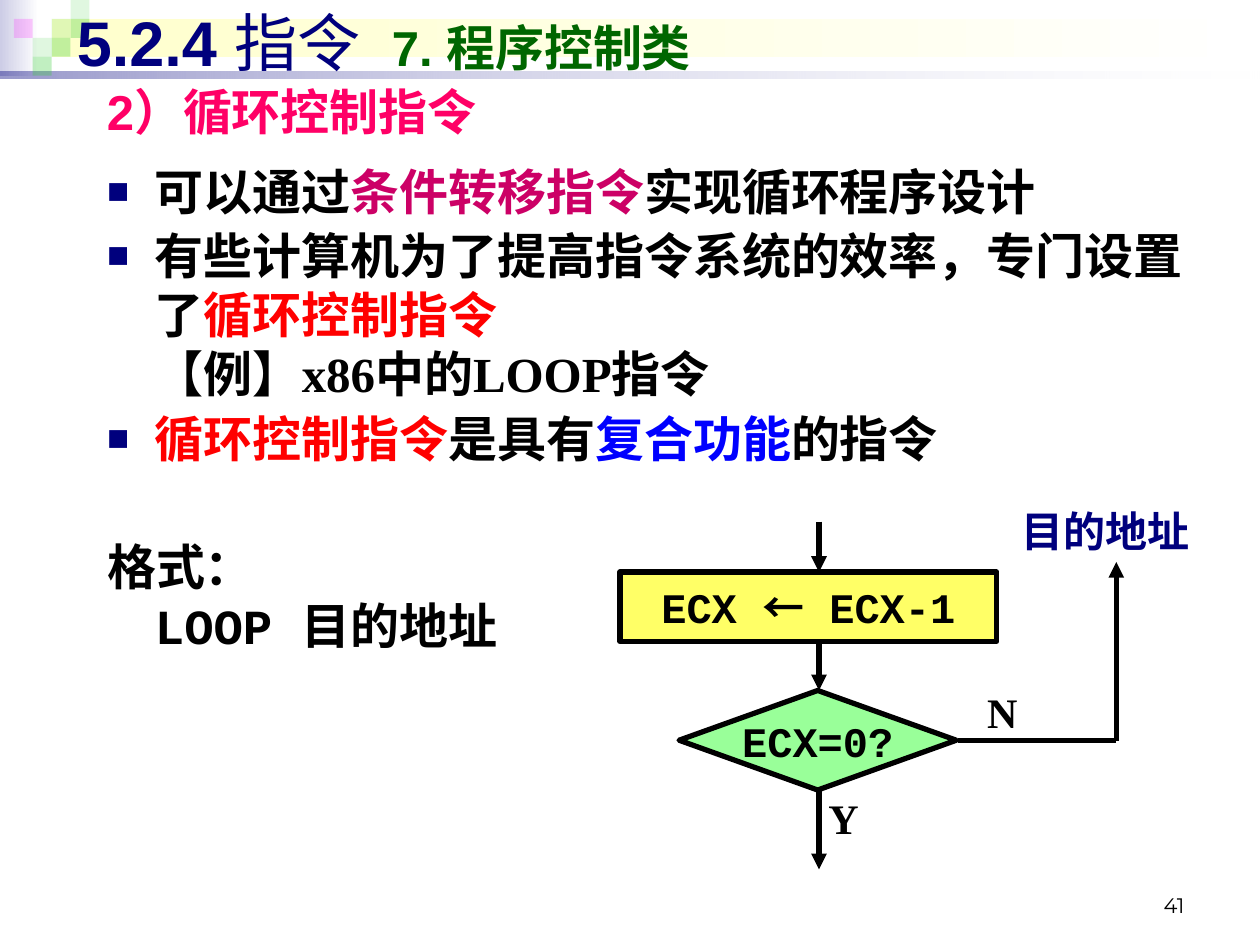
from pptx import Presentation, util as u
from pptx.dml.color import RGBColor
from pptx.enum import shapes, text
from pptx.oxml.ns import qn
from lxml import etree

NAVY, BLACK, RED, GREEN, WHITE = "00007D", "000000", "FF0000", "33CC33", "FFFFFF"
ARIAL, TIMES, COURIER, CJK = "Arial", "Times New Roman", "Courier New", "Noto Sans CJK SC"
CELL, GRID_LEFT = 0.15, 0.11
INDENT = 0.38

BANDS = [
    ((0, 0, 0.31, 0.6), [("CDCDE6", 100), (WHITE, 100)]),
    ((0.41, 0.15, 9.55, 0.3), [("FFFFCC", 100), (WHITE, 100)]),
    ((0, 0.57, 10, 0.05), [(NAVY, 40), (WHITE, 10)]),
]
SQUARES = [(2, 1, GREEN, 15), (3, 0, GREEN, 15), (3, 1, GREEN, 30), (1, 2, GREEN, 15),
           (0, 1, "FF00FF", 20), (2, 2, GREEN, 30), (1, 3, GREEN, 30)]

TITLE = [("5.2.4 ", ARIAL, 36, NAVY, True), ("指令\t", ARIAL, 36, NAVY, False),
         ("7. 程序控制类", ARIAL, 28, "006600", True)]
BULLETS = [
    [("可以通过", BLACK), ("条件转移指令", "CC0066"), ("实现循环程序设计", BLACK)],
    [("有些计算机为了提高指令系统的效率，专门设置了", BLACK), ("循环控制指令\n", RED),
     ("【例】x86中的LOOP指令", BLACK)],
    [("循环控制指令", RED), ("是具有", BLACK), ("复合功能", "0000FF"), ("的指令", BLACK)],
]
FORMAT = "格式：\nLOOP 目的地址"

LABELS = [
    ((7.17, 6.83, 2.33, 0.5), ("41", "Montserrat", 12, BLACK, False), "RIGHT", "BOTTOM"),
    ((0.75, 0.6, 8.98, 0.57), ("2）循环控制指令", ARIAL, 28, "FF0066", True), "LEFT", "TOP"),
    ((7.68, 5.4, 0.55, 0.5), ("N", TIMES, 24, BLACK, True), "CENTER", "TOP"),
    ((7.99, 3.96, 1.57, 0.5), ("目的地址", TIMES, 24, NAVY, True), "CENTER", "TOP"),
    ((6.42, 6.24, 0.55, 0.5), ("Y", TIMES, 24, BLACK, True), "CENTER", "TOP"),
]
NODES = [
    ("FLOWCHART_PROCESS", (4.92, 4.54, 2.99, 0.55), "FFFF66",
     [("ECX ", COURIER), ("←", CJK), (" ECX-1", COURIER)]),
    ("FLOWCHART_DECISION", (5.39, 5.48, 2.2, 0.79), "99FF99", [("ECX=0?", COURIER)]),
]
LINES = [
    ((6.5, 4.14), (6.5, 4.54), True), ((6.5, 5.09), (6.5, 5.48), True),
    ((6.5, 6.27), (6.5, 6.9), True), ((7.6, 5.88), (8.86, 5.88), False),
    ((8.86, 5.88), (8.86, 4.46), True),
]


def rgb(code):
    """Turn a hex string into a colour."""
    return RGBColor.from_string(code)


def inches(values):
    """Turn numbers into lengths."""
    return [u.Inches(value) for value in values]


def add_spans(para, spans):
    """Append formatted runs, breaking lines at newlines."""
    for words, font, size, color, bold in spans:
        for number, part in enumerate(words.split("\n")):
            if number:
                para.add_line_break()
            if part:
                span = para.add_run()
                span.text = part
                span.font.name, span.font.size, span.font.bold = font, u.Pt(size), bold
                span.font.color.rgb = rgb(color)


def set_alpha(fill, percents):
    """Give the colours of a fill their opacity."""
    for color, percent in zip(fill._xPr.iter(qn("a:srgbClr")), percents):
        if percent < 100:
            etree.SubElement(color, qn("a:alpha"), val=str(percent * 1000))


def add_block(slide, kind, place):
    """Add a preset shape without shadow or outline."""
    shape = slide.shapes.add_shape(shapes.MSO_SHAPE[kind], *inches(place))
    shape.shadow.inherit = False
    shape.line.fill.background()
    return shape


def add_decoration(slide, master):
    """Draw the header bands and squares and move them to the master."""
    blocks = []
    for place, stops in BANDS:
        band = add_block(slide, "RECTANGLE", place)
        band.fill.gradient()
        band.fill.gradient_angle = 0
        for stop, (color, _) in zip(band.fill.gradient_stops, stops):
            stop.color.rgb = rgb(color)
        set_alpha(band.fill, [alpha for _, alpha in stops])
        blocks.append(band)
    for column, row, color, alpha in SQUARES:
        place = (GRID_LEFT + column * CELL, row * CELL, CELL, CELL)
        square = add_block(slide, "RECTANGLE", place)
        square.fill.solid()
        square.fill.fore_color.rgb = rgb(color)
        set_alpha(square.fill, [alpha])
        blocks.append(square)
    for position, block in enumerate(blocks, 2):
        master.shapes._spTree.insert(position, block._element)


def place_placeholder(holder, place, anchor):
    """Move a placeholder and fix its text frame."""
    holder.left, holder.top, holder.width, holder.height = inches(place)
    frame = holder.text_frame
    frame.auto_size = text.MSO_AUTO_SIZE.NONE
    frame.vertical_anchor = anchor
    return frame


def set_bullet(para, shown):
    """Set the hanging indent and the square bullet."""
    props = para._p.get_or_add_pPr()
    props.set("marL", str(u.Inches(INDENT)))
    props.set("indent", str(-u.Inches(INDENT)))
    if not shown:
        etree.SubElement(props, qn("a:buNone"))
        return
    color = etree.SubElement(props, qn("a:buClr"))
    etree.SubElement(color, qn("a:srgbClr"), val=NAVY)
    etree.SubElement(props, qn("a:buSzPct"), val="75000")
    etree.SubElement(props, qn("a:buFont"), typeface=ARIAL)
    etree.SubElement(props, qn("a:buChar"), char="■")


def add_body(frame):
    """Write the bullets and the instruction format."""
    items = [[(words, TIMES, 28, color, True) for words, color in item] for item in BULLETS]
    items.append([(FORMAT, COURIER, 28, BLACK, True)])
    for number, spans in enumerate(items):
        para = frame.add_paragraph() if number else frame.paragraphs[0]
        is_bullet = number < len(BULLETS)
        set_bullet(para, is_bullet)
        para.space_before = u.Pt((3.3 if number else 0) if is_bullet else 39.7)
        add_spans(para, spans)


def add_label(slide, place, span, align, anchor):
    """Add a one-line text box."""
    frame = slide.shapes.add_textbox(*inches(place)).text_frame
    frame.word_wrap = True
    frame.vertical_anchor = text.MSO_ANCHOR[anchor]
    frame.paragraphs[0].alignment = text.PP_ALIGN[align]
    add_spans(frame.paragraphs[0], [span])


def add_node(slide, kind, place, color, words):
    """Add a flowchart node."""
    node = add_block(slide, kind, place)
    node.fill.solid()
    node.fill.fore_color.rgb = rgb(color)
    node.line.color.rgb, node.line.width = rgb(BLACK), u.Pt(3)
    frame = node.text_frame
    frame.word_wrap = False
    frame.vertical_anchor = text.MSO_ANCHOR.MIDDLE
    frame.paragraphs[0].alignment = text.PP_ALIGN.CENTER
    add_spans(frame.paragraphs[0], [(part, font, 24, BLACK, True) for part, font in words])


def add_flow(slide, start, end, arrow):
    """Add a flow line, with an arrowhead if asked."""
    line = slide.shapes.add_connector(shapes.MSO_CONNECTOR.STRAIGHT, *inches(start + end))
    line.line.color.rgb, line.line.width = rgb(BLACK), u.Pt(3)
    if arrow:
        etree.SubElement(line.line._get_or_add_ln(), qn("a:tailEnd"), type="triangle")
    etree.SubElement(line._element.spPr, qn("a:effectLst"))


def main():
    """Build the slide and save it."""
    deck = Presentation()
    deck.slide_width, deck.slide_height = inches((10, 7.5))
    slide = deck.slides.add_slide(deck.slide_layouts[1])
    add_decoration(slide, deck.slide_master)
    title, body = slide.placeholders
    heading = place_placeholder(title, (0.51, -0.03, 9.37, 0.71), text.MSO_ANCHOR.MIDDLE)
    heading.paragraphs[0].alignment = text.PP_ALIGN.LEFT
    add_spans(heading.paragraphs[0], TITLE)
    add_body(place_placeholder(body, (0.75, 1.23, 8.98, 6.11), text.MSO_ANCHOR.TOP))
    for node in NODES:
        add_node(slide, *node)
    for line in LINES:
        add_flow(slide, *line)
    for label in LABELS:
        add_label(slide, *label)
    deck.save("out.pptx")


if __name__ == "__main__":
    main()
